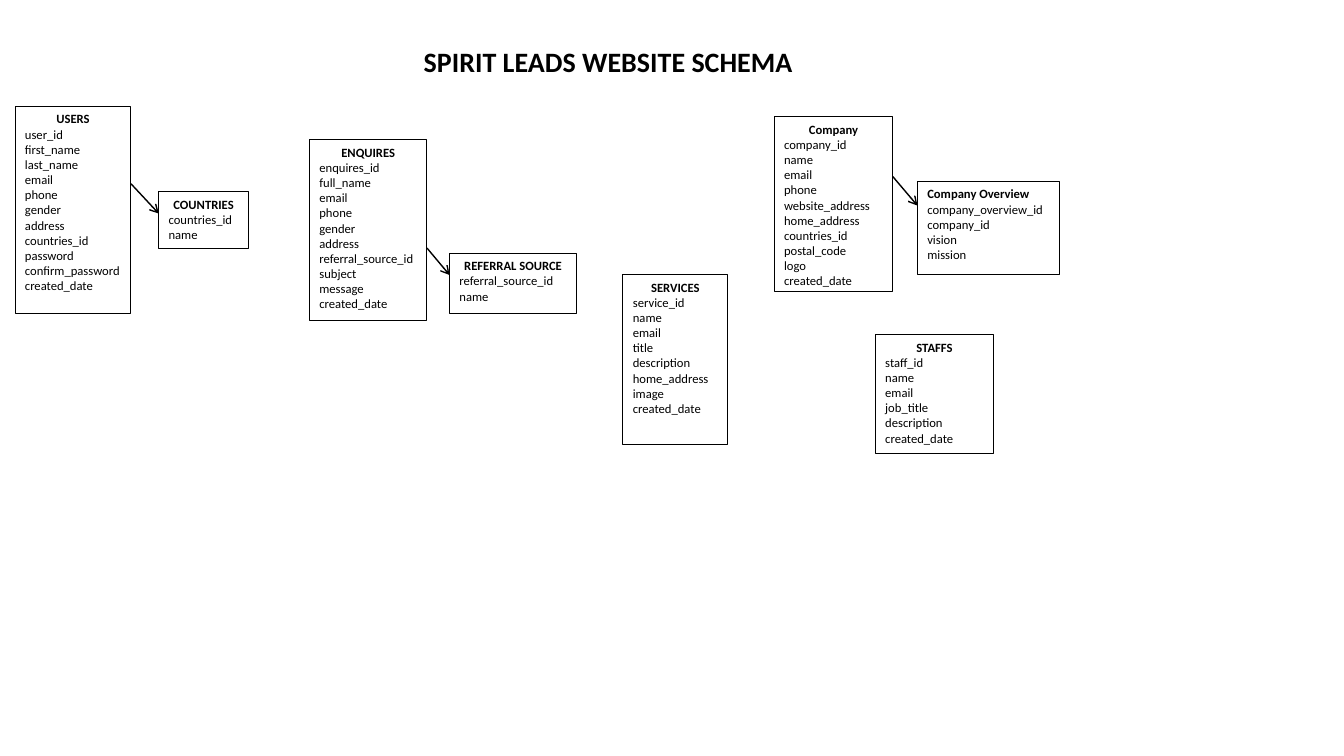
from dataclasses import dataclass
from lxml import etree
from pptx import Presentation
from pptx import util as u
from pptx.dml import color
from pptx.enum import shapes, text
from pptx.oxml import ns


@dataclass(frozen=True)
class Theme:
    font: str = "Calibri"
    ink: color.RGBColor = color.RGBColor(0, 0, 0)
    head: int = 20
    body: int = 9
    edge: float = 0.75
    link: float = 1


theme = Theme()


def style(para, size, bold, align):
    para.alignment = align
    for run in para.runs:
        run.font.name = theme.font
        run.font.size = u.Pt(size)
        run.font.bold = bold
        run.font.color.rgb = theme.ink


deck = Presentation()
deck.slide_width, deck.slide_height = u.Cm(33.87), u.Cm(19.05)
slide = deck.slides.add_slide(deck.slide_layouts[5])
mid, left = text.PP_ALIGN.CENTER, text.PP_ALIGN.LEFT

title = slide.shapes.title
title.left, title.top = u.Cm(9.69), u.Cm(0.99)
title.width, title.height = u.Cm(11.28), u.Cm(1.12)
title.text_frame.text = "SPIRIT LEADS WEBSITE SCHEMA"
style(title.text_frame.paragraphs[0], theme.head, True, mid)

tables = [
    ("USERS", mid, (0.38, 2.68, 2.92, 5.22),
     "user_id first_name last_name email phone gender address "
     "countries_id password confirm_password created_date"),
    ("COUNTRIES", mid, (4, 4.83, 2.26, 1.43), "countries_id name"),
    ("ENQUIRES", mid, (7.8, 3.52, 2.96, 4.56),
     "enquires_id full_name email phone gender address "
     "referral_source_id subject message created_date"),
    ("REFERRAL SOURCE", mid, (11.33, 6.38, 3.2, 1.52),
     "referral_source_id name"),
    ("Company", mid, (19.51, 2.94, 2.99, 4.4),
     "company_id name email phone website_address home_address "
     "countries_id postal_code logo created_date"),
    ("Company Overview", left, (23.12, 4.57, 3.58, 2.35),
     "company_overview_id company_id vision mission"),
    ("STAFFS", mid, (22.06, 8.43, 2.98, 3),
     "staff_id name email job_title description created_date"),
    ("SERVICES", mid, (15.7, 6.92, 2.64, 4.28),
     "service_id name email title description home_address "
     "image created_date"),
]
for name, align, place, fields in tables:
    box = slide.shapes.add_shape(
        shapes.MSO_SHAPE.RECTANGLE, *[u.Cm(n) for n in place])
    box.shadow.inherit = False
    box.fill.background()
    box.line.color.rgb = theme.ink
    box.line.width = u.Pt(theme.edge)
    frame = box.text_frame
    frame.word_wrap = True
    frame.vertical_anchor = text.MSO_ANCHOR.TOP
    frame.text = "\n".join([name] + fields.split())
    head, *rows = frame.paragraphs
    style(head, theme.body, True, align)
    for row in rows:
        style(row, theme.body, False, left)

links = [
    (3.3, 4.63, 4, 5.38),
    (10.76, 6.25, 11.33, 6.93),
    (22.5, 4.45, 23.12, 5.18),
]
for ends in links:
    link = slide.shapes.add_connector(
        shapes.MSO_CONNECTOR.STRAIGHT, *[u.Cm(n) for n in ends])
    link.line.color.rgb = theme.ink
    link.line.width = u.Pt(theme.link)
    tip = etree.SubElement(link.line._get_or_add_ln(), ns.qn("a:tailEnd"))
    tip.set("type", "arrow")
    etree.SubElement(link._element.spPr, ns.qn("a:effectLst"))

deck.save("out.pptx")
